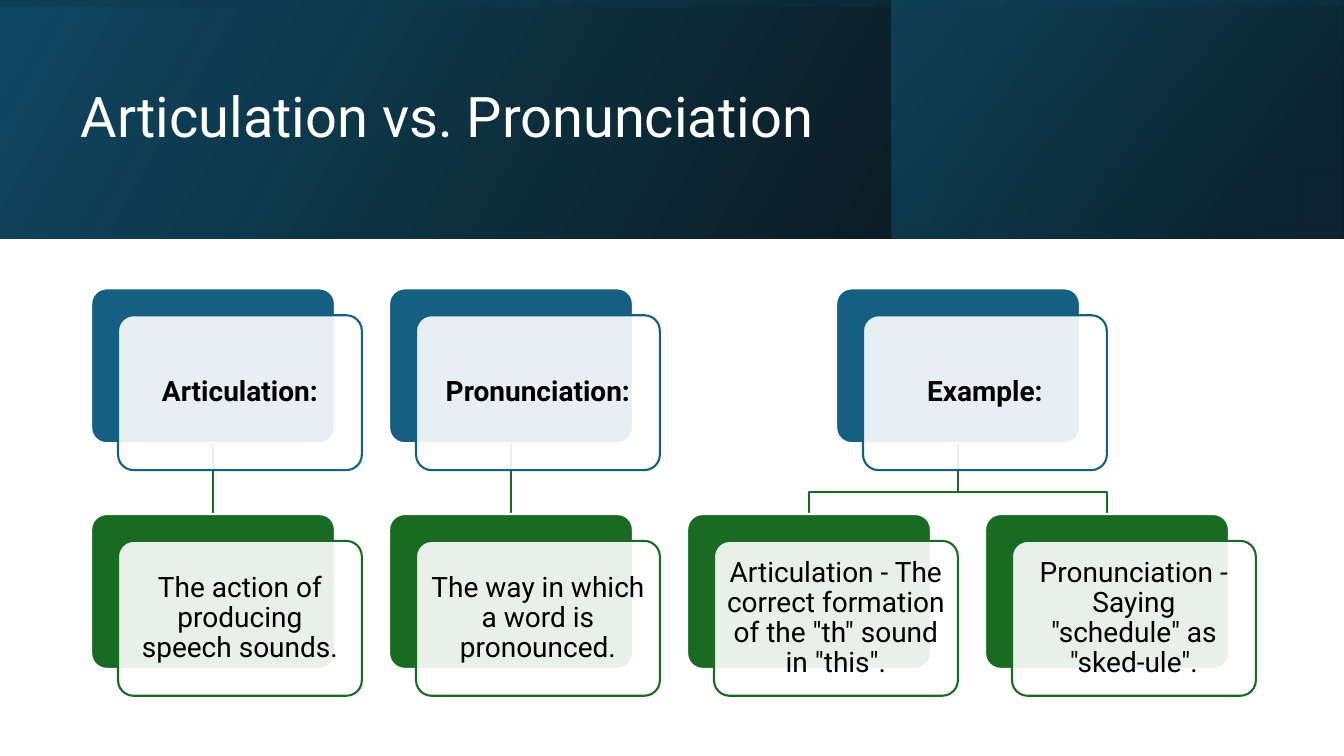
"""Build the slide that sets articulation against pronunciation."""
from lxml import etree
from pptx import Presentation
from pptx import util as u
from pptx.dml.color import RGBColor
from pptx.enum import shapes, text
from pptx.oxml.ns import qn

Pt = u.Pt
TITLE = "Articulation vs. Pronunciation"
TREE = [
    ("Articulation:", ["The action of producing speech sounds."]),
    ("Pronunciation:", ["The way in which a word is pronounced."]),
    ("Example:", [
        'Articulation - The correct formation of the "th" sound in "this".',
        'Pronunciation - Saying "schedule" as "sked-ule".']),
]
BLUE, GREEN, WHITE, BLACK = "156082", "196B24", "FFFFFF", "000000"
WIDE, HIGH, BAND = 960, 540, 170.6
SIDE = (WIDE - BAND) / 2
BANDS = [
    ((0, 0, WIDE, BAND), 0, 330, [(0, BLACK, 96), (1, "104862", 100)]),
    ((636.8, 0, 322.8, BAND), 0, 320, [(.19, "0B3041", 68), (1, BLUE, 48)]),
    ((SIDE, -SIDE, BAND, WIDE), 270, 350,
     [(.23, "104862", 16), (.99, BLACK, 45)]),
]
LEFT, STEP, CARD_W, CARD_H = 65.1, 212.85, 174.2, 110.6
TOP, LOW, BEND, SHIFT = 206, 367.2, 351.3, 19.2


def hue(code):
    return RGBColor.from_string(code)


def fade(shape, levels):
    for node, level in zip(shape._element.spPr.iter(qn("a:srgbClr")), levels):
        etree.SubElement(node, qn("a:alpha")).set("val", str(level * 1000))


def write(shape, words, size=20, color=BLACK, bold=False, align="CENTER",
          inset=5.76, after=7):
    frame = shape.text_frame
    frame.word_wrap = True
    frame.vertical_anchor = text.MSO_ANCHOR.MIDDLE
    frame.margin_left = frame.margin_right = Pt(inset)
    frame.margin_top = frame.margin_bottom = Pt(min(inset, 5.76))
    para = frame.paragraphs[0]
    para.alignment = text.PP_ALIGN[align]
    para.line_spacing = .9
    para.space_after = Pt(after)
    run = para.add_run()
    run.text = words
    font = run.font
    font.name, font.size, font.bold = "Roboto", Pt(size), bold
    font.color.rgb = hue(color)


def add_band(slide, box, turn, angle, stops):
    band = slide.shapes.add_shape(shapes.MSO_SHAPE.RECTANGLE, *map(Pt, box))
    band.shadow.inherit = False
    band.rotation = turn
    band._element.spPr.xfrm.set("flipH", "1")
    band.fill.gradient()
    band.fill.gradient_angle = 360 - angle
    for stop, (place, color, level) in zip(band.fill.gradient_stops, stops):
        stop.position = place
        stop.color.rgb = hue(color)
    fade(band, [level for place, color, level in stops])
    band.line.fill.background()


def add_box(slide, left, top, fill, line):
    box = slide.shapes.add_shape(shapes.MSO_SHAPE.ROUNDED_RECTANGLE,
                                 Pt(left), Pt(top), Pt(CARD_W), Pt(CARD_H))
    box.adjustments[0] = .1
    box.shadow.inherit = False
    box.fill.solid()
    box.fill.fore_color.rgb = hue(fill)
    box.line.color.rgb = hue(line)
    box.line.width = Pt(1.5)
    return box


def add_card(slide, left, top, color, words, bold=False):
    back = add_box(slide, left, top, color, WHITE)
    front = add_box(slide, left + SHIFT, top + SHIFT, WHITE, color)
    fade(front, [90])
    write(front, words, bold=bold)
    return back


def add_wire(slide, start, end):
    if start == end:
        wire = slide.shapes.add_connector(
            shapes.MSO_CONNECTOR.STRAIGHT,
            Pt(start), Pt(TOP + CARD_H), Pt(end), Pt(LOW))
        etree.SubElement(wire._element.spPr, qn("a:effectLst"))
    else:
        pen = slide.shapes.build_freeform(Pt(start), Pt(TOP + CARD_H))
        turns = [(start, BEND), (end, BEND), (end, LOW)]
        pen.add_line_segments([(Pt(x), Pt(y)) for x, y in turns], close=False)
        wire = pen.convert_to_shape()
        wire.shadow.inherit = False
        wire.fill.background()
    wire.line.color.rgb = hue(GREEN)
    wire.line.width = Pt(1.5)
    return wire


def add_branch(slide, first, head, leaves):
    lefts = [LEFT + STEP * (first + n) for n in range(len(leaves))]
    mid = sum(lefts) / len(lefts)
    half = CARD_W / 2
    wires = [add_wire(slide, mid + half, left + half) for left in lefts]
    root = add_card(slide, mid, TOP, BLUE, head, bold=True)
    cards = [add_card(slide, left, LOW, GREEN, leaf)
             for left, leaf in zip(lefts, leaves)]
    if len(leaves) == 1:
        wires[0].begin_connect(root, 2)
        wires[0].end_connect(cards[0], 0)


def main():
    deck = Presentation()
    deck.slide_width, deck.slide_height = Pt(WIDE), Pt(HIGH)
    slide = deck.slides.add_slide(deck.slide_layouts[6])
    for band in BANDS:
        add_band(slide, *band)
    title = slide.shapes.add_textbox(Pt(50.7), Pt(23), Pt(765), Pt(124))
    write(title, TITLE, size=40, color=WHITE, align="JUSTIFY", inset=7.2,
          after=0)
    first = 0
    for head, leaves in TREE:
        add_branch(slide, first, head, leaves)
        first += len(leaves)
    deck.save("out.pptx")


if __name__ == "__main__":
    main()
